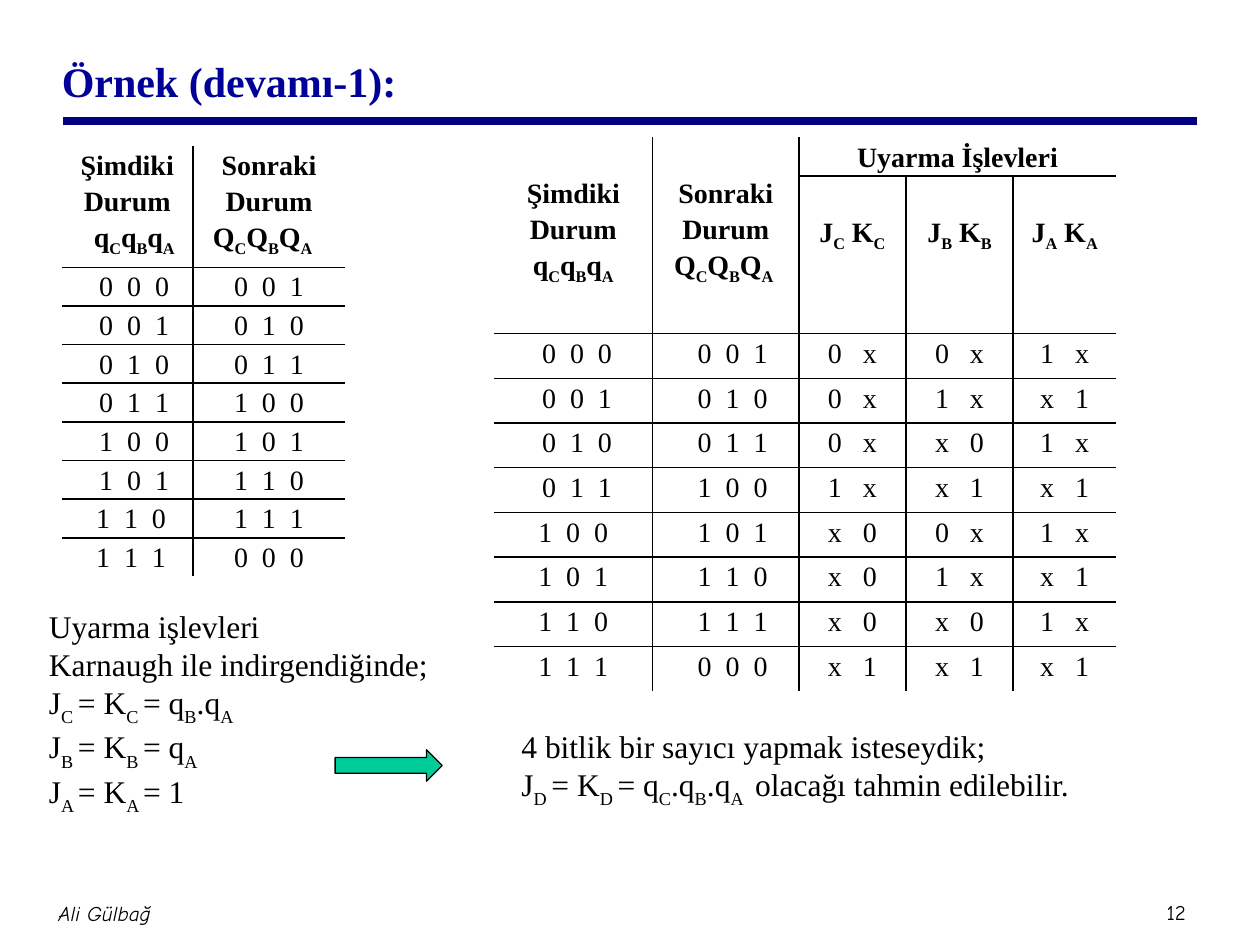
from lxml.etree import SubElement
from pptx import Presentation
from pptx.dml.color import RGBColor
from pptx.enum.shapes import MSO_CONNECTOR, MSO_SHAPE
from pptx.enum.text import MSO_ANCHOR as Anchor, PP_ALIGN as Align
from pptx.oxml.ns import qn
from pptx.util import Inches, Pt

COLORS = {"title": "000099", "rule": "000080", "ink": "000000", "arrow": "00CC99"}
SERIF, COMIC = "Times New Roman", "Comic Neue"
NO_STYLE = "{2D5ABB26-0587-4C30-8999-92F81FD0307C}"

# Content: text between bars is subscript
TITLE = "Örnek (devamı-1):"
AUTHOR, PAGE = "Ali Gülbağ", "12"
PRESENT = ["Şimdiki Durum", "q|C|q|B|q|A"]
NEXT = ["Sonraki Durum", "Q|C|Q|B|Q|A"]
EXCITATION = "Uyarma İşlevleri"
INPUTS = ["J|C| K|C", "J|B| K|B", "J|A| K|A"]
REDUCED = [
    "Uyarma işlevleri",
    "Karnaugh ile indirgendiğinde;",
    "J|C |= K|C |= q|B|.q|A",
    "J|B |= K|B |= q|A",
    "J|A |= K|A |= 1",
]
FOUR_BIT = [
    "4 bitlik bir sayıcı yapmak isteseydik;",
    "J|D |= K|D |= q|C|.q|B|.q|A | olacağı tahmin edilebilir.",
]
# JK flip-flop inputs for each change from present bit to next bit
JK = {"00": "0 x", "01": "1 x", "10": "x 1", "11": "x 0"}
STATES = [(format(n, "03b"), format((n + 1) % 8, "03b")) for n in range(8)]


def rgb(name):
    return RGBColor.from_string(COLORS[name])


def write(frame, lines, size=18, font=SERIF, color="ink", bold=False, italic=False,
          align=Align.LEFT, last_align=None, leading=None, indent=0, tracking=0,
          subscript=-25):
    """Write lines; indent and last_align apply to the last line."""
    frame.word_wrap = True
    for i, line in enumerate(lines):
        paragraph = frame.paragraphs[0] if i == 0 else frame.add_paragraph()
        last = i == len(lines) - 1
        paragraph.alignment = last_align if last and last_align else align
        if leading:
            paragraph.line_spacing = leading
        if last and indent:
            paragraph._p.get_or_add_pPr().set("marL", str(Inches(indent)))
        for j, part in enumerate(line.split("|")):
            if not part:
                continue
            run = paragraph.add_run()
            run.text = part
            run.font.size, run.font.name = Pt(size), font
            run.font.bold, run.font.italic = bold, italic
            run.font.color.rgb = rgb(color)
            if j % 2:
                run.font._element.set("baseline", str(subscript * 1000))
            if tracking:
                run.font._element.set("spc", str(tracking * 100))


def add_text(slide, box, lines, anchor=Anchor.TOP, inset=None, **style):
    frame = slide.shapes.add_textbox(*map(Inches, box)).text_frame
    frame.vertical_anchor = anchor
    if inset is not None:
        frame.margin_left = frame.margin_right = Inches(inset)
    write(frame, lines, **style)


def add_grid(slide, left, top, widths, heights):
    table = slide.shapes.add_table(
        len(heights), len(widths), Inches(left), Inches(top),
        Inches(sum(widths)), Inches(sum(heights))).table
    table.first_row = table.horz_banding = False
    table._tbl.tblPr.find(qn("a:tableStyleId")).text = NO_STYLE
    for column, width in zip(table.columns, widths):
        column.width = Inches(width)
    for row, height in zip(table.rows, heights):
        row.height = Inches(height)
    return table


def rule_inside(table):
    """Draw the inner lines only, respecting merged cells."""
    rows, columns = len(table.rows), len(table.columns)
    for r in range(rows):
        for c in range(columns):
            cell = table.cell(r, c)
            if cell.is_spanned:
                continue
            tall = cell.span_height if cell.is_merge_origin else 1
            wide = cell.span_width if cell.is_merge_origin else 1
            sides = {"lnL": c > 0, "lnR": c + wide < columns,
                     "lnT": r > 0, "lnB": r + tall < rows}
            for side in (name for name, inner in sides.items() if inner):
                line = SubElement(cell._tc.get_or_add_tcPr(), qn("a:" + side), w=str(Pt(1)))
                fill = SubElement(line, qn("a:solidFill"))
                SubElement(fill, qn("a:srgbClr"), val=COLORS["ink"])
            cell.fill.background()


def fill_cell(table, r, c, lines, top=0, **style):
    cell = table.cell(r, c)
    cell.margin_left = cell.margin_right = Inches(0.07)
    cell.margin_top, cell.margin_bottom = Inches(top), 0
    write(cell.text_frame, lines, size=16, align=Align.CENTER, leading=1.15, **style)


def main():
    prs = Presentation()
    prs.slide_width, prs.slide_height = Inches(10), Inches(7.5)
    slide = prs.slides.add_slide(prs.slide_layouts[5])

    # Title and rule
    title = slide.shapes.title
    title.left, title.top, title.width, title.height = map(Inches, (0.39, 0.21, 8.5, 0.86))
    title.text_frame.vertical_anchor = Anchor.MIDDLE
    write(title.text_frame, [TITLE], size=24, color="title", bold=True)
    rule = slide.shapes.add_connector(
        MSO_CONNECTOR.STRAIGHT, Inches(0.5), Inches(0.96), Inches(9.5), Inches(0.96))
    rule.line.color.rgb, rule.line.width = rgb("rule"), Pt(4.5)
    SubElement(rule._element.spPr, qn("a:effectLst"))

    # Footer
    footer = dict(size=12, font=COMIC, align=Align.CENTER, anchor=Anchor.MIDDLE, inset=0.05)
    add_text(slide, (9.1, 7.09, 0.47, 0.3), [PAGE], **footer)
    add_text(slide, (-0.96, 7, 3.58, 0.5), [AUTHOR], italic=True, **footer)

    # State table
    states = add_grid(slide, 0.49, 1.16, [1.04, 1.21], [0.89] + [0.285] * 8)
    fill_cell(states, 0, 0, PRESENT, bold=True, indent=0.11)
    fill_cell(states, 0, 1, NEXT, bold=True, indent=0.09, last_align=Align.LEFT)
    for r, (now, then) in enumerate(STATES, 1):
        fill_cell(states, r, 0, [" ".join(now)], tracking=2, indent=0.11 if r < 7 else 0.06)
        fill_cell(states, r, 1, [" ".join(then)], tracking=2)
    rule_inside(states)

    # Excitation table
    excitation = add_grid(slide, 3.92, 1.09, [1.26, 1.16, 0.85, 0.85, 0.82],
                          [0.29, 1.14] + [0.355] * 8)
    for c in (0, 1):
        excitation.cell(0, c).merge(excitation.cell(1, c))
    excitation.cell(0, 2).merge(excitation.cell(0, 4))
    fill_cell(excitation, 0, 0, PRESENT, top=0.29, bold=True)
    fill_cell(excitation, 0, 1, NEXT, top=0.29, bold=True, indent=0.1, last_align=Align.LEFT)
    fill_cell(excitation, 0, 2, [EXCITATION], bold=True)
    for c, pair in enumerate(INPUTS, 2):
        fill_cell(excitation, 1, c, [pair], top=0.29, bold=True)
    for r, (now, then) in enumerate(STATES, 2):
        fill_cell(excitation, r, 0, [" ".join(now)], tracking=2, indent=0.06 if r < 6 else 0)
        fill_cell(excitation, r, 1, [" ".join(then)], tracking=2, indent=0.11)
        for c, (before, after) in enumerate(zip(now, then), 2):
            fill_cell(excitation, r, c, [JK[before + after]], tracking=4)
    rule_inside(excitation)

    # Reduced equations, arrow and four-bit case
    add_text(slide, (0.29, 4.84, 5.35, 1.62), REDUCED, anchor=Anchor.MIDDLE, subscript=-30)
    add_text(slide, (4.04, 5.72, 5, 0.71), FOUR_BIT, subscript=-30)
    arrow = slide.shapes.add_shape(
        MSO_SHAPE.RIGHT_ARROW, *map(Inches, (2.66, 5.95, 0.85, 0.25)))
    arrow.shadow.inherit = False
    arrow.fill.solid()
    arrow.fill.fore_color.rgb = rgb("arrow")
    arrow.line.color.rgb, arrow.line.width = rgb("ink"), Pt(0.75)

    prs.save("out.pptx")


if __name__ == "__main__":
    main()
